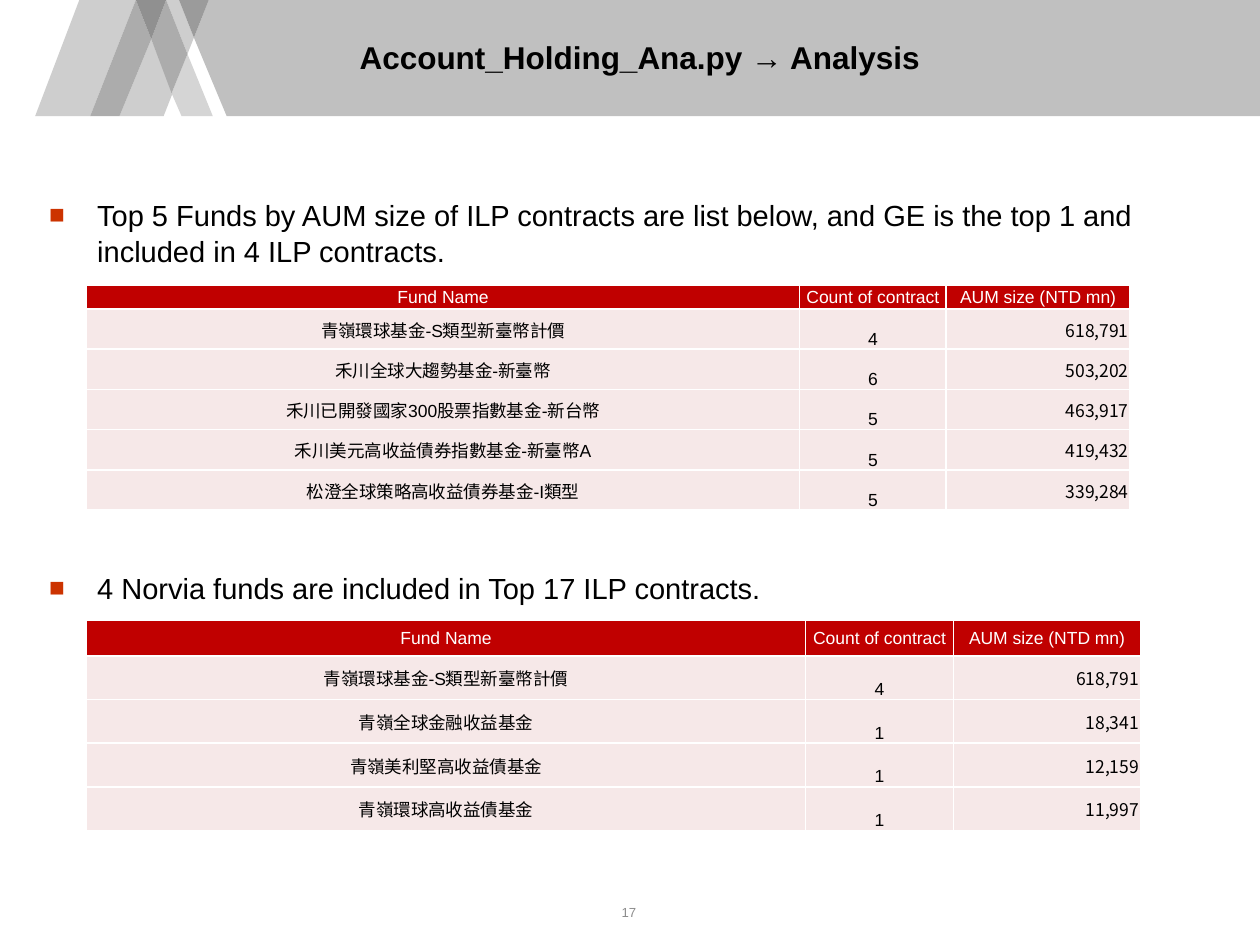
from lxml import etree
from pptx import Presentation
from pptx.dml.color import RGBColor
from pptx.enum.text import MSO_ANCHOR, MSO_AUTO_SIZE, PP_ALIGN
from pptx.oxml.ns import qn
from pptx.util import Cm, Pt

CENTER, LEFT, RIGHT = PP_ALIGN.CENTER, PP_ALIGN.LEFT, PP_ALIGN.RIGHT
TOP, MIDDLE, BOTTOM = MSO_ANCHOR.TOP, MSO_ANCHOR.MIDDLE, MSO_ANCHOR.BOTTOM
NO_AUTOFIT = MSO_AUTO_SIZE.NONE

BLACK = RGBColor(0x00, 0x00, 0x00)
WHITE = RGBColor(0xFF, 0xFF, 0xFF)
HEADER_RED = RGBColor(0xC0, 0x00, 0x00)
ROW_PINK = RGBColor(0xF6, 0xE8, 0xE8)
BULLET_ORANGE = RGBColor(0xCC, 0x33, 0x00)
NUMBER_GRAY = RGBColor(0x8C, 0x8C, 0x8C)
BAND_GRAY = RGBColor(0xC0, 0xC0, 0xC0)
PALE_GRAY = RGBColor(0xD5, 0xD5, 0xD5)
LIGHT_GRAY = RGBColor(0xCE, 0xCE, 0xCE)
MID_GRAY = RGBColor(0xAC, 0xAC, 0xAC)
DARK_GRAY = RGBColor(0x90, 0x90, 0x90)
NOTCH_GRAY = RGBColor(0x9B, 0x9B, 0x9B)

LATIN_FONT = "Arial"
FIGURE_FONT = "Noto Sans CJK SC"

# Header band and its slanted stripes, points in cm
BAND_BOTTOM = 2.34
HEADER_PIECES = [
    (BAND_GRAY, [(3.91, 0.76), (4.57, BAND_BOTTOM), (25.4, BAND_BOTTOM), (25.4, 0), (4.21, 0)]),
    (PALE_GRAY, [(3.78, 1.09), (3.46, 1.88), (3.66, BAND_BOTTOM), (4.29, BAND_BOTTOM)]),
    (LIGHT_GRAY, [(3.61, 0), (3.35, 0), (3.78, 1.09), (3.91, 0.76)]),
    (LIGHT_GRAY, [(3.05, 0.79), (2.41, BAND_BOTTOM), (3.3, BAND_BOTTOM), (3.48, 1.88)]),
    (LIGHT_GRAY, [(2.74, 0), (1.6, 0), (0.71, BAND_BOTTOM), (1.82, BAND_BOTTOM)]),
    (NOTCH_GRAY, [(4.21, 0), (3.61, 0), (3.91, 0.76)]),
    (MID_GRAY, [(3.35, 0), (3.05, 0.79), (3.46, 1.88), (3.78, 1.09)]),
    (MID_GRAY, [(2.74, 0), (1.82, BAND_BOTTOM), (2.41, BAND_BOTTOM), (3.05, 0.79)]),
    (DARK_GRAY, [(3.35, 0), (2.74, 0), (3.05, 0.79)]),
]

# Bullet text with the space before it in points
BULLETS = [
    ("Top 5 Funds by AUM size of ILP contracts are list below, "
     "and GE is the top 1 and included in 4 ILP contracts.", 2),
    ("4 Norvia funds are included in Top 17 ILP contracts.", 169.5),
]

COLUMN_NAMES = ("Fund Name", "Count of contract", "AUM size (NTD mn)")
TOP_FUNDS = [
    ("青嶺環球基金-S類型新臺幣計價", "4", "618,791"),
    ("禾川全球大趨勢基金-新臺幣", "6", "503,202"),
    ("禾川已開發國家300股票指數基金-新台幣", "5", "463,917"),
    ("禾川美元高收益債券指數基金-新臺幣A", "5", "419,432"),
    ("松澄全球策略高收益債券基金-I類型", "5", "339,284"),
]
HOUSE_FUNDS = [
    ("青嶺環球基金-S類型新臺幣計價", "4", "618,791"),
    ("青嶺全球金融收益基金", "1", "18,341"),
    ("青嶺美利堅高收益債基金", "1", "12,159"),
    ("青嶺環球高收益債基金", "1", "11,997"),
]
# Alignment, anchor and font of each column's body cells
COLUMN_FORMATS = [
    (CENTER, MIDDLE, LATIN_FONT),
    (CENTER, BOTTOM, LATIN_FONT),
    (RIGHT, MIDDLE, FIGURE_FONT),
]


def set_values(target, values):
    for name, value in values.items():
        setattr(target, name, value)


def write_paragraph(paragraph, text, size, color, alignment, font=LATIN_FONT, bold=False):
    run = paragraph.add_run()
    run.text = text
    paragraph.alignment = alignment
    set_values(run.font, {"name": font, "size": Pt(size), "bold": bold})
    run.font.color.rgb = color


def format_frame(shape, box, margins, anchor):
    set_values(shape, dict(zip(("left", "top", "width", "height"), map(Cm, box))))
    frame = shape.text_frame
    names = ("margin_left", "margin_top", "margin_right", "margin_bottom")
    set_values(frame, dict(zip(names, map(Cm, margins))))
    set_values(frame, {"word_wrap": True, "auto_size": NO_AUTOFIT, "vertical_anchor": anchor})
    return frame


def add_header_piece(slide, color, points):
    corners = [(Cm(x), Cm(y)) for x, y in points]
    builder = slide.shapes.build_freeform(*corners[0])
    builder.add_line_segments(corners[1:], close=True)
    shape = builder.convert_to_shape()
    shape.shadow.inherit = False
    shape.fill.solid()
    shape.fill.fore_color.rgb = color
    shape.line.fill.background()


def add_square_bullet(paragraph):
    properties = paragraph._p.get_or_add_pPr()
    properties.set("marL", str(Cm(0.97)))
    properties.set("indent", str(-Cm(0.97)))
    bullet_color = etree.SubElement(properties, qn("a:buClr"))
    etree.SubElement(bullet_color, qn("a:srgbClr"), val=str(BULLET_ORANGE))
    etree.SubElement(properties, qn("a:buSzPct"), val="90000")
    etree.SubElement(properties, qn("a:buFont"), typeface=LATIN_FONT)
    etree.SubElement(properties, qn("a:buChar"), char="■")


def fill_bullets(placeholder):
    frame = format_frame(placeholder, (0.99, 3.76, 24, 11.6), (0, 0.18, 0.13, 0.18), TOP)
    for index, (text, space_before) in enumerate(BULLETS):
        paragraph = frame.add_paragraph() if index else frame.paragraphs[0]
        write_paragraph(paragraph, text, 16.6, BLACK, LEFT)
        set_values(paragraph, {"line_spacing": 1.05, "space_before": Pt(space_before),
                               "space_after": Pt(2)})
        add_square_bullet(paragraph)


def add_white_borders(cell):
    properties = cell._tc.get_or_add_tcPr()
    for index, side in enumerate(("a:lnL", "a:lnR", "a:lnT", "a:lnB")):
        line = etree.Element(qn(side), w=str(Pt(1)))
        fill = etree.SubElement(line, qn("a:solidFill"))
        etree.SubElement(fill, qn("a:srgbClr"), val=str(WHITE))
        properties.insert(index, line)


def format_cell(cell, text, fill, color, alignment, anchor, font):
    set_values(cell, {"margin_left": Cm(0.03), "margin_right": Cm(0.03), "margin_top": Cm(0.03),
                      "margin_bottom": Cm(0), "vertical_anchor": anchor})
    cell.fill.solid()
    cell.fill.fore_color.rgb = fill
    write_paragraph(cell.text_frame.paragraphs[0], text, 10, color, alignment, font)
    add_white_borders(cell)


def add_fund_table(slide, funds, top, column_widths, header_height, row_height):
    heights = [header_height] + [row_height] * len(funds)
    table = slide.shapes.add_table(len(heights), len(column_widths), Cm(1.74), Cm(top),
                                   Cm(sum(column_widths)), Cm(sum(heights))).table
    set_values(table, {"first_row": False, "horz_banding": False})
    for column, width in zip(table.columns, column_widths):
        column.width = Cm(width)
    for row, height in zip(table.rows, heights):
        row.height = Cm(height)
    for index, name in enumerate(COLUMN_NAMES):
        format_cell(table.cell(0, index), name, HEADER_RED, WHITE, CENTER, MIDDLE, LATIN_FONT)
    for row_index, fund in enumerate(funds, start=1):
        for index, (text, formats) in enumerate(zip(fund, COLUMN_FORMATS)):
            format_cell(table.cell(row_index, index), text, ROW_PINK, BLACK, *formats)


def main():
    presentation = Presentation()
    presentation.slide_width, presentation.slide_height = Cm(25.4), Cm(19.05)
    slide = presentation.slides.add_slide(presentation.slide_layouts[1])
    title, body = slide.placeholders

    # Header band, placed behind the title
    for color, points in HEADER_PIECES:
        add_header_piece(slide, color, points)
    slide.shapes._spTree.append(title._element)

    # Title and bullets
    frame = format_frame(title, (4.77, 0.15, 16.26, 2), (0, 0, 0, 0), MIDDLE)
    write_paragraph(frame.paragraphs[0], "Account_Holding_Ana.py → Analysis", 18, BLACK, CENTER,
                    bold=True)
    fill_bullets(body)

    # Fund tables
    add_fund_table(slide, TOP_FUNDS, 5.75, (14.38, 2.95, 3.71), 0.48, 0.81)
    add_fund_table(slide, HOUSE_FUNDS, 12.5, (14.5, 2.98, 3.77), 0.72, 0.88)

    # Page number
    number = slide.shapes.add_textbox(0, 0, 0, 0)
    frame = format_frame(number, (12.12, 18.11, 1.12, 0.56), (0, 0, 0, 0), MIDDLE)
    write_paragraph(frame.paragraphs[0], "17", 7.5, NUMBER_GRAY, CENTER)

    presentation.save("out.pptx")


if __name__ == "__main__":
    main()
